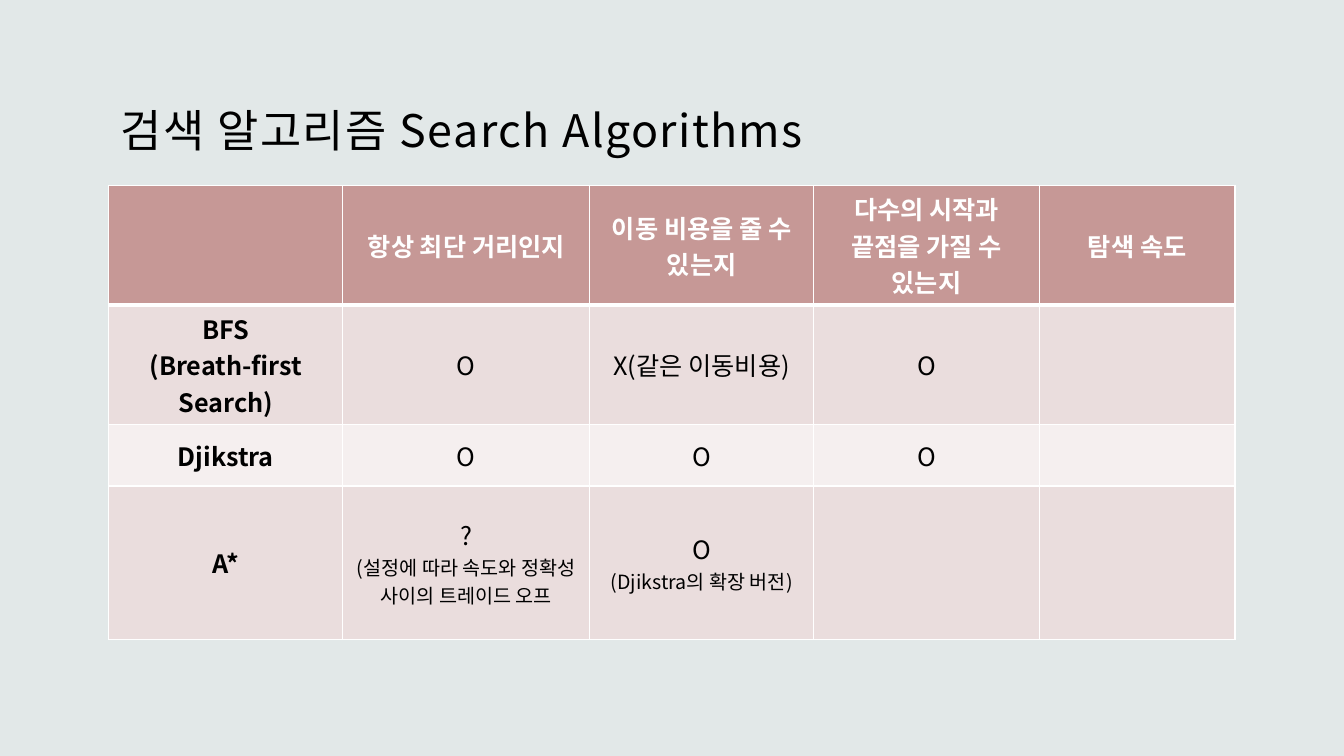
from dataclasses import dataclass

from lxml import etree
from pptx import Presentation
from pptx.dml.color import RGBColor
from pptx.enum.text import MSO_ANCHOR, MSO_AUTO_SIZE, PP_ALIGN
from pptx.oxml.ns import qn
from pptx.slide import Slide
from pptx.table import _Cell
from pptx.util import Inches, Pt

CENTER, LEFT = PP_ALIGN.CENTER, PP_ALIGN.LEFT
MIDDLE, BOTTOM = MSO_ANCHOR.MIDDLE, MSO_ANCHOR.BOTTOM
NO_AUTOFIT = MSO_AUTO_SIZE.NONE

FONT = "Noto Sans CJK KR"
COLORS = {
    "background": "E2E8E8",
    "text": "000000",
    "header": "C69896",
    "header_text": "FFFFFF",
    "band_dark": "EADDDD",
    "band_light": "F5EFEF",
    "border": "FFFFFF",
}
LEFT_EDGE, CONTENT_WIDTH = 1.08, 11.17
COLUMN_WIDTHS = [2.32, 2.45, 2.22, 2.24, 1.94]


@dataclass(frozen=True)
class Entry:
    """Main text of a cell, with an optional smaller remark below it."""
    text: str = ""
    remark: str = ""


@dataclass(frozen=True)
class ComparisonRow:
    height: float
    fill: str
    entries: list[Entry]


EMPTY, YES = Entry(), Entry("O")
ROWS = [
    ComparisonRow(0.76, "header", [
        EMPTY,
        Entry("항상 최단 거리인지"),
        Entry("이동 비용을 줄 수 있는지"),
        Entry("다수의 시작과 끝점을 가질 수 있는지"),
        Entry("탐색 속도"),
    ]),
    ComparisonRow(1.07, "band_dark", [
        Entry("BFS\n(Breath-first Search)"), YES, Entry("X(같은 이동비용)"), YES, EMPTY,
    ]),
    ComparisonRow(0.61, "band_light", [Entry("Djikstra"), YES, YES, YES, EMPTY]),
    ComparisonRow(1.52, "band_dark", [
        Entry("A*"),
        Entry("?", "(설정에 따라 속도와 정확성 사이의 트레이드 오프"),
        Entry("O", "(Djikstra의 확장 버전)"),
        EMPTY,
        EMPTY,
    ]),
]


def rgb(name: str) -> RGBColor:
    return RGBColor.from_string(COLORS[name])


def format_run(run, size: float, color: str, bold: bool = False) -> None:
    run.font.size = Pt(size)
    run.font.bold = bold
    run.font.color.rgb = rgb(color)
    run.font.name = FONT
    east_asian = etree.SubElement(run.font._element, qn("a:ea"))
    east_asian.set("typeface", FONT)


def add_borders(cell: _Cell, bottom_width: float) -> None:
    properties = cell._tc.get_or_add_tcPr()
    for side, width in (("L", 1), ("R", 1), ("T", 1), ("B", bottom_width)):
        line = etree.SubElement(properties, qn(f"a:ln{side}"), w=str(Pt(width)))
        fill = etree.SubElement(line, qn("a:solidFill"))
        etree.SubElement(fill, qn("a:srgbClr"), val=COLORS["border"])


def fill_cell(cell: _Cell, entry: Entry, fill: str, bold: bool) -> None:
    is_header = fill == "header"
    add_borders(cell, 3 if is_header else 1)
    cell.fill.solid()
    cell.fill.fore_color.rgb = rgb(fill)
    cell.vertical_anchor = MIDDLE
    cell.text_frame.text = f"{entry.text}\n{entry.remark}" if entry.remark else entry.text
    for paragraph in cell.text_frame.paragraphs:
        paragraph.alignment = CENTER
        for run in paragraph.runs:
            size = 14 if run.text == entry.remark else 18
            format_run(run, size, "header_text" if is_header else "text", bold)


def add_title(slide: Slide) -> None:
    title = slide.shapes.title
    title.left, title.top = Inches(LEFT_EDGE), Inches(0.43)
    title.width, title.height = Inches(CONTENT_WIDTH), Inches(1.22)
    frame = title.text_frame
    frame.text = "검색 알고리즘 Search Algorithms"
    frame.auto_size = NO_AUTOFIT
    frame.word_wrap = True
    frame.vertical_anchor = BOTTOM
    frame.margin_left = frame.margin_right = frame.margin_top = Inches(0.12)
    frame.margin_bottom = Inches(0.1)
    heading = frame.paragraphs[0]
    heading.alignment = LEFT
    format_run(heading.runs[0], 32, "text")
    heading.runs[0].font._element.set("spc", "100")


def add_comparison(slide: Slide) -> None:
    table = slide.shapes.add_table(
        len(ROWS), len(COLUMN_WIDTHS),
        Inches(LEFT_EDGE), Inches(1.84), Inches(CONTENT_WIDTH), Inches(4.2),
    ).table
    for column, width in zip(table.columns, COLUMN_WIDTHS):
        column.width = Inches(width)
    for row_index, row in enumerate(ROWS):
        table.rows[row_index].height = Inches(row.height)
        for column_index, entry in enumerate(row.entries):
            bold = row_index == 0 or column_index == 0
            fill_cell(table.cell(row_index, column_index), entry, row.fill, bold)


def main() -> None:
    presentation = Presentation()
    presentation.slide_width, presentation.slide_height = Inches(13.33), Inches(7.5)
    slide = presentation.slides.add_slide(presentation.slide_layouts[5])
    slide.background.fill.solid()
    slide.background.fill.fore_color.rgb = rgb("background")
    add_title(slide)
    add_comparison(slide)
    presentation.save("out.pptx")


if __name__ == "__main__":
    main()
